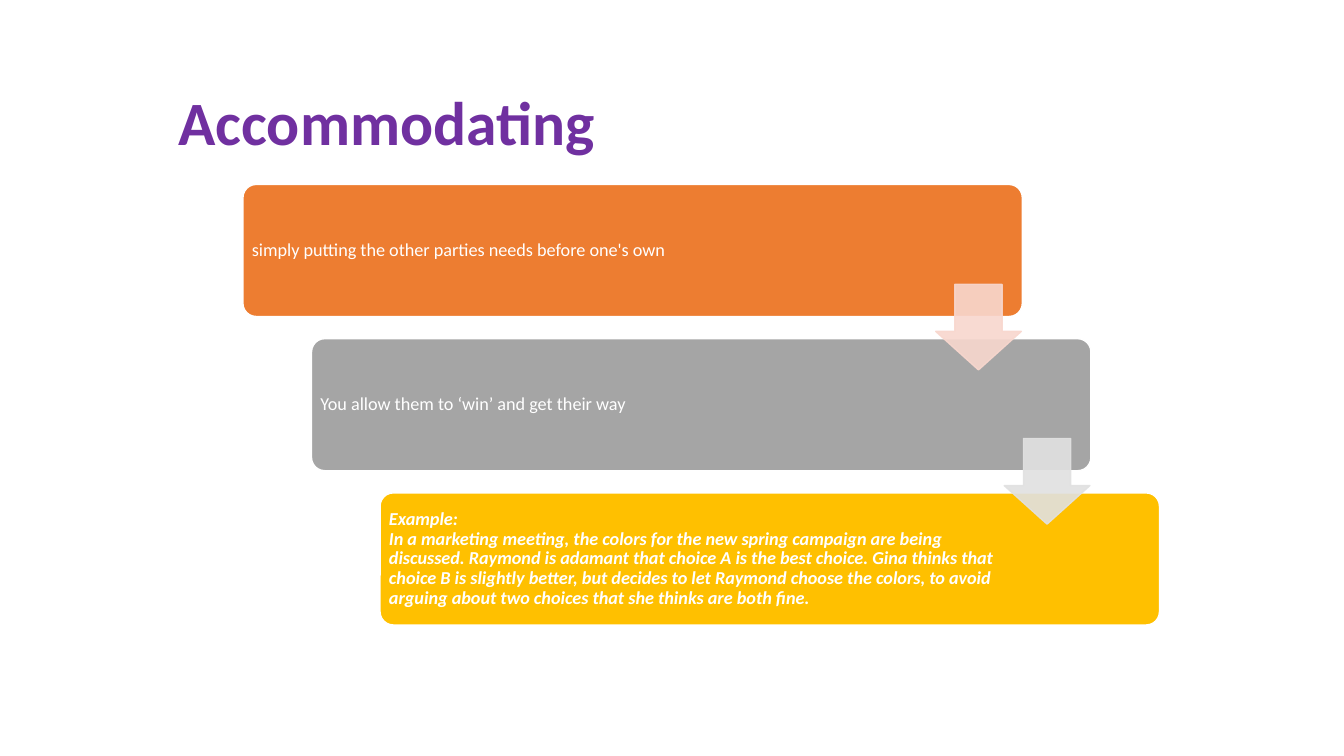
from pptx import Presentation
from pptx import util as u
from pptx.dml import color
from pptx.enum import shapes, text
from pptx.oxml import ns
from lxml import etree


def paint(fmt, value, alpha=None):
    fmt.solid()
    fmt.fore_color.rgb = color.RGBColor.from_string(value)
    if alpha:
        clr = fmt._xPr.find(ns.qn("a:solidFill"))[0]
        etree.SubElement(clr, ns.qn("a:alpha"), val=str(alpha * 1000))


def add_block(kind, left, top, width, height, adjustments, fill, line, alpha=None):
    sp = s.shapes.add_shape(kind, u.Inches(left), u.Inches(top), u.Inches(width), u.Inches(height))
    sp.shadow.inherit = False
    for i, value in enumerate(adjustments):
        sp.adjustments[i] = value
    paint(sp.fill, fill, alpha)
    paint(sp.line.fill, line, alpha)
    sp.line.width = u.Pt(1)
    return sp


prs = Presentation()
prs.slide_width, prs.slide_height = u.Inches(13.33), u.Inches(7.5)
s = prs.slides.add_slide(prs.slide_layouts[5])

title = s.shapes.title
title.left, title.top = u.Inches(1.67), u.Inches(0.58)
title.width, title.height = u.Inches(8.9), u.Inches(1.05)
tf = title.text_frame
tf.text = "Accommodating"
tf.vertical_anchor = text.MSO_ANCHOR.BOTTOM
tf.auto_size = text.MSO_AUTO_SIZE.NONE
p = tf.paragraphs[0]
p.alignment = text.PP_ALIGN.LEFT
p.line_spacing = 0.9
p.font.name, p.font.size, p.font.bold = "Calibri", u.Pt(44), True
paint(p.font.fill, "7030A0")

steps = [
    ("simply putting the other parties needs before one's own", "ED7D31", False),
    ("You allow them to ‘win’ and get their way", "A5A5A5", False),
    ("Example:\vIn a marketing meeting, the colors for the new spring campaign are being "
     "discussed. Raymond is adamant that choice A is the best choice. Gina thinks that "
     "choice B is slightly better, but decides to let Raymond choose the colors, to avoid "
     "arguing about two choices that she thinks are both fine.", "FFC000", True),
]
step_x, step_y = 0.68, 1.53

for i, (wording, fill, emphasis) in enumerate(steps):
    sp = add_block(shapes.MSO_SHAPE.ROUNDED_RECTANGLE, 2.41 + i * step_x, 1.83 + i * step_y,
                   7.73, 1.31, [0.1], fill, "FFFFFF")
    tf = sp.text_frame
    tf.word_wrap = True
    tf.vertical_anchor = text.MSO_ANCHOR.MIDDLE
    tf.margin_left = tf.margin_top = tf.margin_bottom = u.Inches(0.05)
    tf.margin_right = u.Inches(1.59)
    p = tf.paragraphs[0]
    p.text = wording
    p.alignment = text.PP_ALIGN.LEFT
    p.line_spacing = 0.9
    p.font.name, p.font.size = "Calibri", u.Pt(13)
    p.font.bold = p.font.italic = emphasis
    paint(p.font.fill, "FFFFFF")

for i, fill in enumerate(["F8D7CE", "E1E1E1"]):
    add_block(shapes.MSO_SHAPE.DOWN_ARROW, 9.28 + i * step_x, 2.82 + i * step_y,
              0.85, 0.85, [0.55, 0.45], fill, fill, 90)

prs.save("out.pptx")
